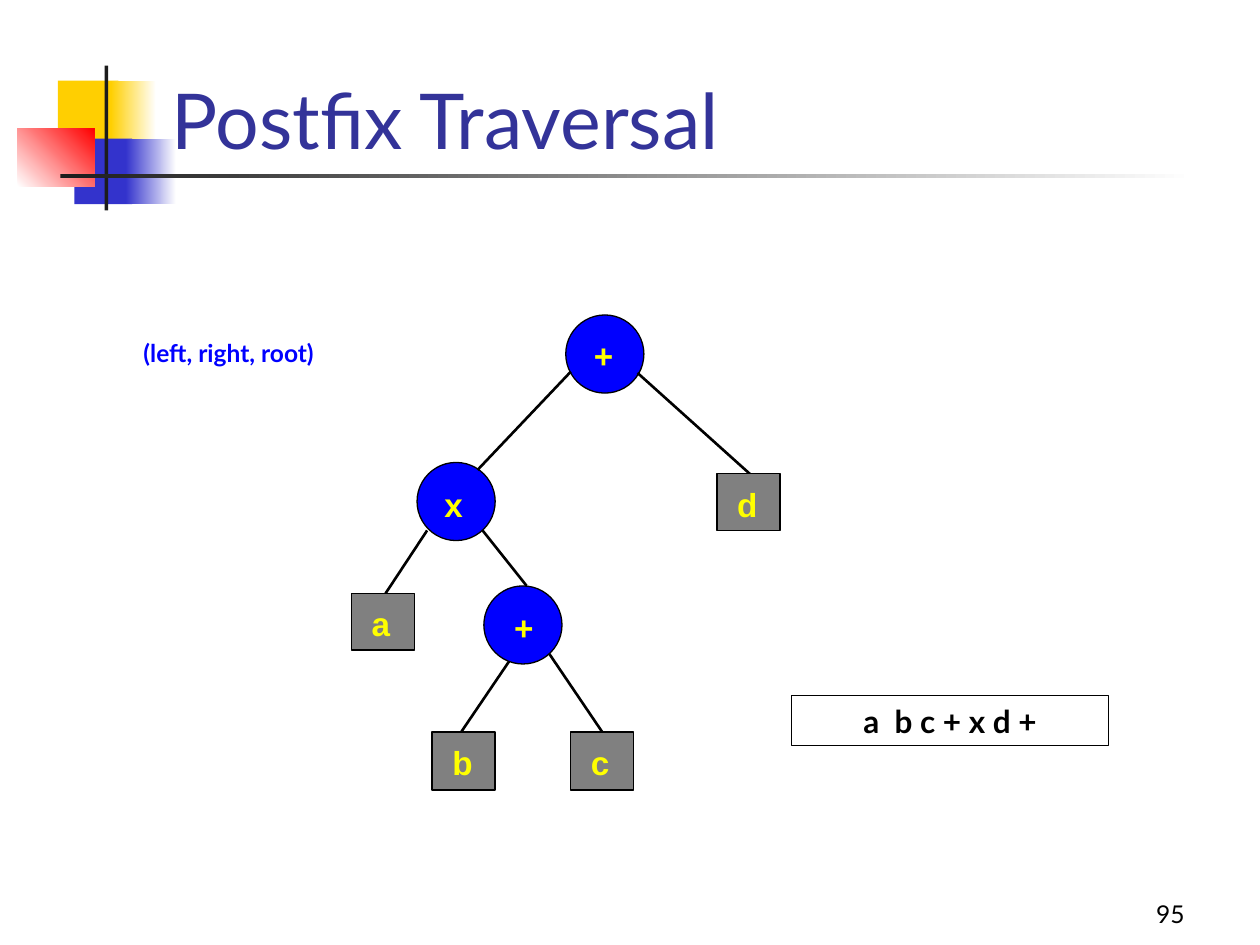
"""Build the slide on postfix traversal of an expression tree."""
from lxml.etree import SubElement
from pptx import Presentation
from pptx.dml.color import RGBColor
from pptx.enum.shapes import MSO_CONNECTOR, MSO_SHAPE
from pptx.enum.text import MSO_ANCHOR, PP_ALIGN
from pptx.oxml.ns import qn
from pptx.util import Inches, Pt

WHITE = RGBColor(0xFF, 0xFF, 0xFF)
BLACK = RGBColor(0x00, 0x00, 0x00)
CHARCOAL = RGBColor(0x1C, 0x1C, 0x1C)
GOLD = RGBColor(0xFF, 0xCF, 0x01)
INDIGO = RGBColor(0x33, 0x33, 0xCC)
RED = RGBColor(0xFF, 0x00, 0x00)
NAVY = RGBColor(0x33, 0x33, 0x99)
BLUE = RGBColor(0x00, 0x00, 0xFF)
GRAY = RGBColor(0x80, 0x80, 0x80)
YELLOW = RGBColor(0xFF, 0xFF, 0x00)

NODE_FONT = {"name": "Arial", "size": Pt(19), "bold": True}
CIRCLE_SIZE = 0.62
LEAF_WIDTH = 0.5

presentation = Presentation()
presentation.slide_width = Inches(10)
presentation.slide_height = Inches(7.5)
slide = presentation.slides.add_slide(presentation.slide_layouts[5])
shapes = slide.shapes


def add_block(preset, box, fill=None, line=None):
    block = shapes.add_shape(preset, *map(Inches, box))
    block.shadow.inherit = False
    if fill is None:
        block.fill.background()
    else:
        block.fill.solid()
        block.fill.fore_color.rgb = fill
    if line is None:
        block.line.fill.background()
    else:
        block.line.color.rgb = line
        block.line.width = Pt(0.75)
    return block


def write(shape, text, color, font, align=PP_ALIGN.LEFT, anchor=MSO_ANCHOR.TOP,
          inset=(0.1, 0.05), wrap=True):
    frame = shape.text_frame
    frame.word_wrap = wrap
    frame.vertical_anchor = anchor
    frame.margin_left = frame.margin_right = Inches(inset[0])
    frame.margin_top = frame.margin_bottom = Inches(inset[1])
    paragraph = frame.paragraphs[0]
    paragraph.text = text
    paragraph.alignment = align
    for attribute, value in font.items():
        setattr(paragraph.font, attribute, value)
    paragraph.font.color.rgb = color


ornaments = [
    ((0.46, 0.64, 0.48, 0.52), GOLD, None, 0),
    ((0.88, 0.64, 0.36, 0.52), GOLD, WHITE, 0),
    ((0.59, 1.1, 0.46, 0.52), INDIGO, None, 0),
    ((1, 1.1, 0.4, 0.52), INDIGO, WHITE, 0),
    ((0.14, 1.02, 0.61, 0.46), WHITE, RED, 45),
    ((0.83, 0.52, 0.03, 1.15), CHARCOAL, None, 0),
    ((0.48, 1.38, 9, 0.03), CHARCOAL, WHITE, 0),
]
for box, start, end, angle in ornaments:
    ornament = add_block(MSO_SHAPE.RECTANGLE, box, start)
    if end is not None:
        ornament.fill.gradient()
        ornament.fill.gradient_angle = angle
        for stop, color, position in zip(ornament.fill.gradient_stops, (start, end), (0, 1)):
            stop.color.rgb = color
            stop.position = position

title = shapes.title
title.left, title.top, title.width, title.height = map(Inches, (1.26, 0.11, 8.52, 1.25))
write(title, "Postfix Traversal", NAVY, {"name": "Lato", "size": Pt(44)},
      anchor=MSO_ANCHOR.BOTTOM)

page_number = shapes.add_textbox(*map(Inches, (7.42, 6.92, 2.08, 0.5)))
write(page_number, "95", BLACK, {"name": "Lato", "size": Pt(14)},
      PP_ALIGN.RIGHT, MSO_ANCHOR.BOTTOM)

for left, top in [(4.49, 2.5), (3.31, 3.67), (3.84, 4.65)]:
    add_block(MSO_SHAPE.FLOWCHART_CONNECTOR, (left, top, CIRCLE_SIZE, CIRCLE_SIZE), BLUE, BLACK)

branches = [
    (4.53, 2.95, 3.79, 3.73),
    (5.06, 2.96, 5.95, 3.76),
    (3.39, 4.21, 3.06, 4.71),
    (3.83, 4.21, 4.18, 4.65),
    (4.04, 5.25, 3.66, 5.81),
    (4.36, 5.19, 4.78, 5.81),
]
for ends in branches:
    branch = shapes.add_connector(MSO_CONNECTOR.STRAIGHT, *map(Inches, ends))
    branch.line.color.rgb = BLACK
    branch.line.width = Pt(1.5)
    SubElement(branch.element.spPr, qn("a:effectLst"))

operators = [
    ("+", 4.53, 2.58, 0.52, PP_ALIGN.CENTER),
    ("x", 3.35, 3.76, 0.5, PP_ALIGN.CENTER),
    ("+", 3.92, 4.74, 0.5, PP_ALIGN.LEFT),
]
for symbol, left, top, width, align in operators:
    operator = shapes.add_textbox(*map(Inches, (left, top, width, 0.45)))
    write(operator, symbol, YELLOW, NODE_FONT, align, inset=(0.16, 0.08))

leaves = [("a", 2.79, 4.71, 0.45), ("d", 5.69, 3.76, 0.45),
          ("b", 3.43, 5.81, 0.46), ("c", 4.53, 5.81, 0.46)]
for operand, left, top, height in leaves:
    leaf = add_block(MSO_SHAPE.RECTANGLE, (left, top, LEAF_WIDTH, height), GRAY, BLACK)
    write(leaf, operand, YELLOW, NODE_FONT, inset=(0.16, 0.08))

postfix_result = add_block(MSO_SHAPE.RECTANGLE, (6.28, 5.52, 2.52, 0.4), line=BLACK)
write(postfix_result, "a  b c + x d +", BLACK,
      {"name": "Lato", "size": Pt(18), "bold": True}, PP_ALIGN.CENTER)

visit_order = shapes.add_textbox(*map(Inches, (1.04, 2.63, 1.78, 0.34)))
write(visit_order, "(left, right, root)", BLUE,
      {"name": "Lato", "size": Pt(14), "bold": True}, wrap=False)

presentation.save("out.pptx")
